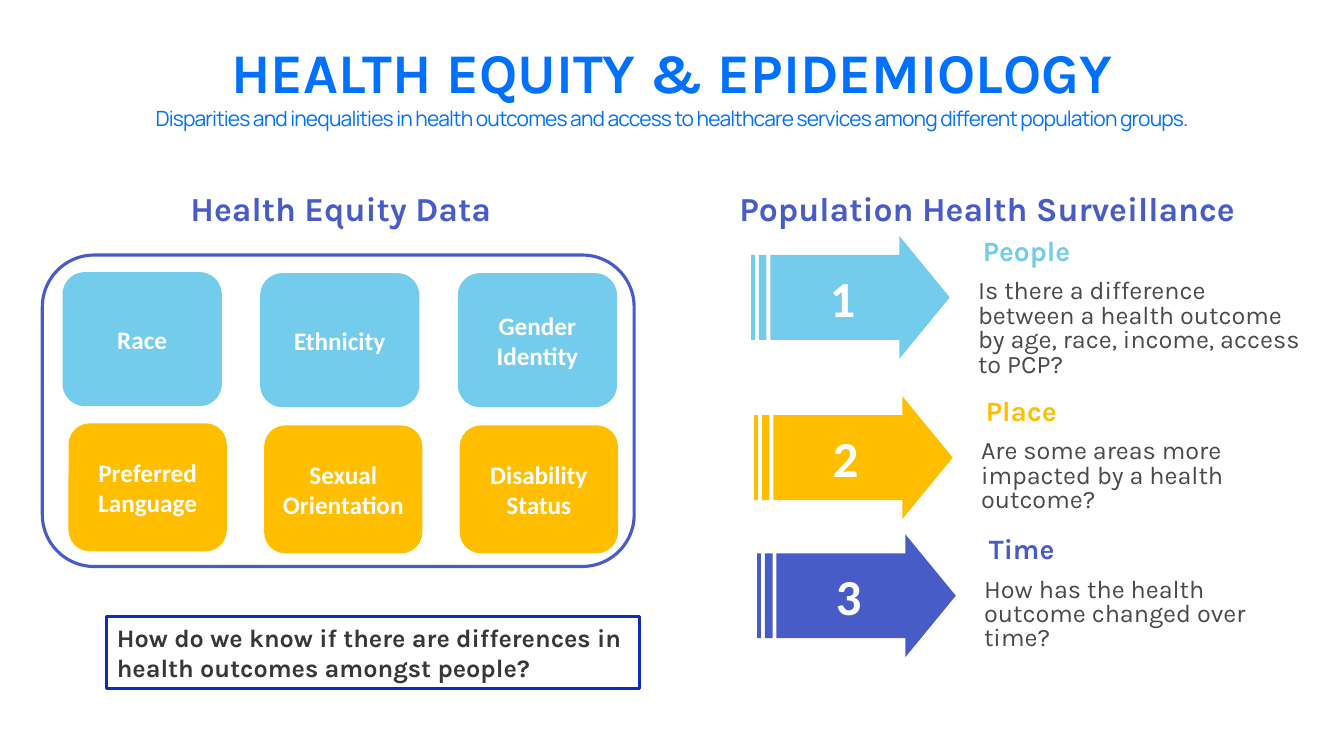
import pptx
import pptx.util
import pptx.dml.color
import pptx.enum.shapes
import pptx.enum.text
import pptx.oxml.ns
import lxml.etree

Inches = pptx.util.Inches
Pt = pptx.util.Pt
RGBColor = pptx.dml.color.RGBColor
Shape = pptx.enum.shapes.MSO_SHAPE
Align = pptx.enum.text.PP_ALIGN
Anchor = pptx.enum.text.MSO_ANCHOR
Fit = pptx.enum.text.MSO_AUTO_SIZE

AZURE = RGBColor(0x00, 0x70, 0xFF)
SKY = RGBColor(0x73, 0xCC, 0xEC)
GOLD = RGBColor(0xFF, 0xBF, 0x00)
INDIGO = RGBColor(0x48, 0x5C, 0xC7)
NAVY = RGBColor(0x0A, 0x2D, 0xC2)
WHITE = RGBColor(0xFF, 0xFF, 0xFF)
GRAY = RGBColor(0x49, 0x49, 0x4B)
DARK = RGBColor(0x37, 0x37, 0x38)


class Deck:
    face = "Karla"
    label = "Calibri"

    def __init__(self):
        self.show = pptx.Presentation()
        self.show.slide_width = Inches(13.33)
        self.show.slide_height = Inches(7.5)
        self.slide = self.show.slides.add_slide(self.show.slide_layouts[6])

    def letter(self, shape, text, color, size, font=None, bold=True,
               align=Align.LEFT, space=None, track=None, **frame):
        for name, value in {"word_wrap": True, **frame}.items():
            setattr(shape.text_frame, name, value)
        para = shape.text_frame.paragraphs[0]
        for name, value in {"alignment": align, "line_spacing": space}.items():
            setattr(para, name, value)
        run = para.add_run()
        run.text = text
        style = {"name": font or self.face, "size": Pt(size), "bold": bold}
        for name, value in style.items():
            setattr(run.font, name, value)
        run.font.color.rgb = color
        if track:
            run._r.get_or_add_rPr().set("spc", str(track))

    def text(self, box, text, color, size, **style):
        shape = self.slide.shapes.add_textbox(*map(Inches, box))
        self.letter(shape, text, color, size,
                    **{"auto_size": Fit.SHAPE_TO_FIT_TEXT, **style})

    def paint(self, shape, fill=None, line=None):
        shape.shadow.inherit = False
        if fill is None:
            shape.fill.background()
        else:
            shape.fill.solid()
            shape.fill.fore_color.rgb = fill
        if line is None:
            shape.line.fill.background()
        else:
            shape.line.color.rgb = line
            shape.line.width = Pt(2.25)

    def shape(self, kind, box, fill=None, line=None, bends=()):
        shape = self.slide.shapes.add_shape(kind, *map(Inches, box))
        self.paint(shape, fill, line)
        for spot, bend in enumerate(bends):
            shape.adjustments[spot] = bend
        return shape

    def badge(self, kind, box, fill, text, size, bends=()):
        shape = self.shape(kind, box, fill, bends=bends)
        self.letter(shape, text, WHITE, size, font=self.label,
                    align=Align.CENTER, vertical_anchor=Anchor.MIDDLE)

    def outline(self, points, fill, alpha):
        form = self.slide.shapes.build_freeform(*points[0], scale=Inches(1))
        form.add_line_segments(points[1:])
        shape = form.convert_to_shape()
        self.paint(shape, fill)
        color = shape._element.spPr.find(".//" + pptx.oxml.ns.qn("a:srgbClr"))
        lxml.etree.SubElement(color, pptx.oxml.ns.qn("a:alpha"), val=str(alpha * 1000))


def main():
    deck = Deck()
    deck.outline([(12.81, 6.94), (12.91, 7.04), (12.9, 7.05),
                  (12.81, 6.97), (12.72, 7.05), (12.7, 7.04)], GRAY, 20)

    deck.text((0, -0.17, 13.33, 1.26), "HEALTH EQUITY & EPIDEMIOLOGY", AZURE, 40,
              align=Align.CENTER, space=Pt(94), vertical_anchor=Anchor.BOTTOM)
    deck.text((0, 1, 13.33, 0.35),
              "Disparities and inequalities in health outcomes and access to "
              "healthcare services among different population groups.",
              AZURE, 15, font="Manrope", bold=False, align=Align.CENTER, track=-60)

    rows = [
        (0.62, 2.71, 1.96, 1.58, 1.33, 0.01, SKY,
         ("Race", "Ethnicity", "Gender Identity")),
        (0.68, 4.22, 1.94, 1.57, 1.27, 0.02, GOLD,
         ("Preferred Language", "Sexual Orientation", "Disability Status")),
    ]
    for left, top, step, width, height, lift, color, names in rows:
        for col, name in enumerate(names):
            rise = 0 if col else lift
            deck.badge(Shape.ROUNDED_RECTANGLE,
                       (left + col * step, top - rise, width, height), color, name, 18)
    deck.shape(Shape.ROUNDED_RECTANGLE, (0.42, 2.53, 5.87, 3.09), line=INDIGO)

    heads = [(0.58, 5.6, "Health Equity Data"),
             (6.83, 5.92, "Population Health Surveillance")]
    for left, width, head in heads:
        deck.text((left, 1.81, width, 0.5), head, INDIGO, 24,
                  align=Align.CENTER, vertical_anchor=Anchor.BOTTOM)

    pad = {"margin_left": Inches(0.05), "margin_right": Inches(0.05),
           "margin_top": Inches(0.03), "margin_bottom": Inches(0.03)}
    themes = [
        (2.34, 1.27, 1.06, SKY, "People",
         "Is there a difference between a health outcome by age, race, income, access to PCP?"),
        (3.93, 1.03, 0.81, GOLD, "Place",
         "Are some areas more impacted by a health outcome?"),
        (5.3, 0.98, 0.81, INDIGO, "Time",
         "How has the health outcome changed over time?"),
    ]
    for index, (top, width, height, color, head, body) in enumerate(themes):
        shift = index * 0.03
        deck.badge(Shape.STRIPED_RIGHT_ARROW, (7.45 + shift, top, 1.97, 1.22),
                   color, str(index + 1), 36, bends=(0.69, 0.41))
        deck.text((9.65 + shift, top - 0.08, width, 0.44), head, color, 20,
                  word_wrap=False, vertical_anchor=Anchor.BOTTOM)
        deck.text((9.65 + shift, top + 0.41, 3.35, height), body, GRAY, 18,
                  bold=False, space=Pt(17.5), **pad)

    query = deck.shape(Shape.RECTANGLE, (1.06, 6.12, 5.28, 0.71), line=NAVY)
    deck.letter(query, "How do we know if there are differences in health outcomes amongst people?",
                DARK, 18, vertical_anchor=Anchor.TOP, auto_size=Fit.SHAPE_TO_FIT_TEXT)
    deck.show.save("out.pptx")


if __name__ == "__main__":
    main()
